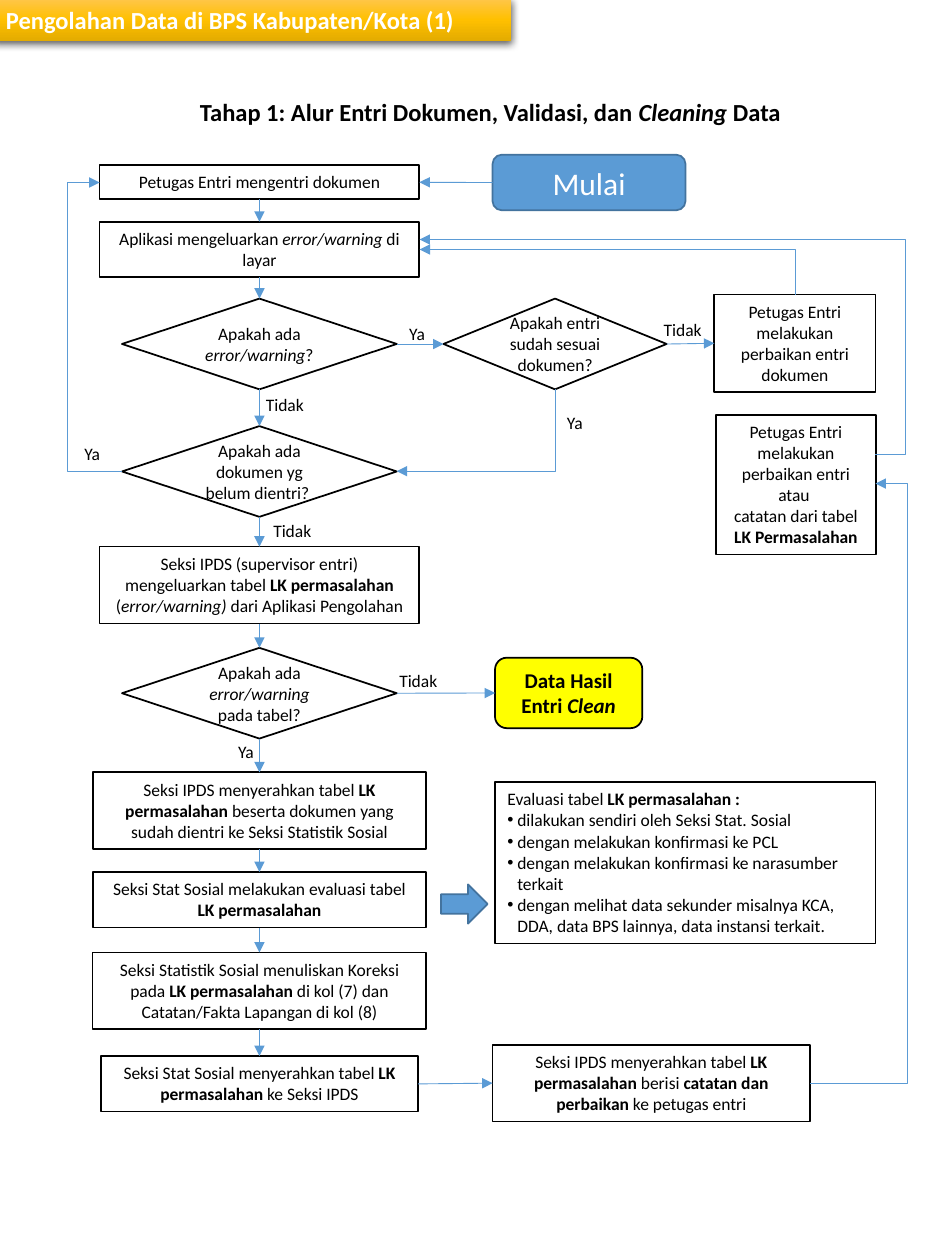
from pptx import Presentation, util as u
from pptx.dml.color import RGBColor
from pptx.enum import shapes, text
from pptx.oxml import parse_xml
from pptx.oxml.ns import nsdecls, qn

BLACK = RGBColor(0x00, 0x00, 0x00)
WHITE = RGBColor(0xFF, 0xFF, 0xFF)
BLUE = RGBColor(0x5B, 0x9B, 0xD5)
DARK_BLUE = RGBColor(0x43, 0x73, 0x9E)
YELLOW = RGBColor(0xFF, 0xFF, 0x00)
AMBER_STOPS = ((0, RGBColor(0xFF, 0xC6, 0x4B)), (50, RGBColor(0xFF, 0xC0, 0x00)),
               (100, RGBColor(0xE3, 0xAB, 0x00)))

KIND = shapes.MSO_SHAPE
TOP, LEFT, BOTTOM, RIGHT = range(4)
AXIS = 5.23  # centre of the main column, in cm


class Flowchart:
    """Holds the style and the slide being drawn."""

    font = "Calibri"
    size = 10

    def __init__(self, page):
        """Start drawing on a page."""
        self.page = page

    def set_text(self, frame, paras, size=None, color=BLACK, align=None, bold=False):
        """Fill a frame; a leading * makes a span bold, _ makes it italic."""
        for index, spans in enumerate(paras):
            para = frame.paragraphs[0] if index == 0 else frame.add_paragraph()
            para.alignment = align or text.PP_ALIGN.LEFT
            for words in spans:
                if words == "\n":
                    para.add_line_break()
                    continue
                span = para.add_run()
                span.text = words.lstrip("*_")
                span.font.name = self.font
                span.font.size = u.Pt(size or self.size)
                span.font.color.rgb = color
                span.font.bold = bold or words.startswith("*")
                span.font.italic = words.startswith("_")

    def shape(self, kind, place, fill=WHITE, line=BLACK):
        """Add a plain preset shape."""
        box = self.page.shapes.add_shape(kind, *map(u.Cm, place))
        box.shadow.inherit = False
        box.fill.solid()
        box.fill.fore_color.rgb = fill
        box.line.color.rgb = line
        box.line.width = u.Pt(1)
        return box

    def box(self, place, *spans, kind=KIND.RECTANGLE, fill=WHITE, line=BLACK,
            middle=False, **style):
        """Add a shape with one centred paragraph."""
        box = self.shape(kind, place, fill, line)
        frame = box.text_frame
        frame.word_wrap = True
        frame.vertical_anchor = text.MSO_ANCHOR.MIDDLE if middle else text.MSO_ANCHOR.TOP
        if not middle:
            frame.auto_size = text.MSO_AUTO_SIZE.SHAPE_TO_FIT_TEXT
        self.set_text(frame, [spans], align=text.PP_ALIGN.CENTER, **style)
        return box

    def decision(self, place, *spans):
        """Add a diamond with narrow insets."""
        box = self.box(place, *spans, kind=KIND.DIAMOND, middle=True)
        frame = box.text_frame
        frame.margin_left = frame.margin_right = u.Cm(0.1)
        frame.margin_top = frame.margin_bottom = u.Cm(0.1)
        return box

    def note(self, place, *paras):
        """Add a box with a heading and bulleted lines."""
        box = self.shape(KIND.RECTANGLE, place)
        frame = box.text_frame
        frame.word_wrap = True
        frame.vertical_anchor = text.MSO_ANCHOR.TOP
        frame.auto_size = text.MSO_AUTO_SIZE.SHAPE_TO_FIT_TEXT
        self.set_text(frame, paras)
        for para in frame.paragraphs[1:]:
            props = para._p.get_or_add_pPr()
            props.set("marL", str(u.Cm(0.2)))
            props.set("indent", str(-u.Cm(0.2)))
            props.append(parse_xml(f'<a:buFont {nsdecls("a")} typeface="Arial"/>'))
            props.append(parse_xml(f'<a:buChar {nsdecls("a")} char="•"/>'))

    def label(self, place, *spans, **style):
        """Add unwrapped text."""
        box = self.page.shapes.add_textbox(*map(u.Cm, place))
        box.text_frame.word_wrap = False
        box.text_frame.auto_size = text.MSO_AUTO_SIZE.SHAPE_TO_FIT_TEXT
        self.set_text(box.text_frame, [spans], **style)

    def banner(self, place, title):
        """Add the gradient heading strip with its shadow."""
        box = self.shape(KIND.RECTANGLE, place)
        box.line.fill.background()
        box.text_frame.word_wrap = True
        box.text_frame.vertical_anchor = text.MSO_ANCHOR.TOP
        self.set_text(box.text_frame, [[title]], size=14, color=WHITE, bold=True)
        stops = "".join(f'<a:gs pos="{at * 1000}"><a:srgbClr val="{color}"/></a:gs>'
                        for at, color in AMBER_STOPS)
        props = box._element.spPr
        props.replace(props.find(qn("a:solidFill")), parse_xml(
            f'<a:gradFill {nsdecls("a")} rotWithShape="1"><a:gsLst>{stops}</a:gsLst>'
            '<a:lin ang="5400000" scaled="0"/></a:gradFill>'))
        props.find(qn("a:effectLst")).append(parse_xml(
            f'<a:outerShdw {nsdecls("a")} blurRad="{u.Pt(4.5)}" dist="{u.Pt(1.5)}" '
            'dir="5400000" algn="ctr" rotWithShape="0"><a:srgbClr val="000000">'
            '<a:alpha val="63000"/></a:srgbClr></a:outerShdw>'))

    def connector(self, kind, start, end, arrow="tailEnd"):
        """Add a thin arrow between two points in cm."""
        line = self.page.shapes.add_connector(kind, *map(u.Cm, (*start, *end)))
        line.line.color.rgb = BLUE
        line.line.width = u.Pt(0.5)
        line.line._get_or_add_ln().append(
            parse_xml(f'<a:{arrow} {nsdecls("a")} type="triangle"/>'))
        line._element.spPr.append(parse_xml(f'<a:effectLst {nsdecls("a")}/>'))
        return line

    def link(self, source, side, target, target_side):
        """Join two shapes with a straight arrow."""
        line = self.connector(shapes.MSO_CONNECTOR.STRAIGHT, (0, 0), (1, 1))
        line.begin_connect(source, side)
        line.end_connect(target, target_side)

    def detour(self, start, end, via):
        """Add an arrow whose upright part stands at x = via."""
        line = self.connector(shapes.MSO_CONNECTOR.ELBOW, start, end)
        ratio = round((via - start[0]) / (end[0] - start[0]) * 100000)
        guides = line._element.spPr.find(qn("a:prstGeom")).get_or_add_avLst()
        guides.append(parse_xml(f'<a:gd {nsdecls("a")} name="adj1" fmla="val {ratio}"/>'))

    def corner(self, tip, start):
        """Add an arrow with one bend, arriving level at its tip."""
        line = self.connector(shapes.MSO_CONNECTOR.ELBOW, tip, start, "headEnd")
        line._element.spPr.find(qn("a:prstGeom")).set("prst", "bentConnector2")


deck = Presentation()
deck.slide_width, deck.slide_height = u.Cm(19.05), u.Cm(25.4)
chart = Flowchart(deck.slides.add_slide(deck.slide_layouts[6]))

chart.banner((-0.13, -0.03, 10.44, 0.86), "Pengolahan Data di BPS Kabupaten/Kota (1)")
chart.label((3.78, 1.83, 12.29, 0.86), "Tahap 1: Alur Entri Dokumen, Validasi, dan ",
            "_Cleaning", " Data", size=14, bold=True)

# Main column: method, top, width, height, spans
STEPS = [
    (chart.box, 3.33, 6.45, 0.69, ["Petugas Entri mengentri dokumen"]),
    (chart.box, 4.47, 6.45, 1.12,
     ["Aplikasi mengeluarkan ", "_error/warning ", "di layar"]),
    (chart.decision, 6.02, 5.54, 1.83, ["Apakah ada ", "_error/warning", "?"]),
    (chart.decision, 8.59, 5.54, 1.83, ["Apakah ada dokumen yg belum dientri? "]),
    (chart.box, 11.02, 6.45, 1.55,
     ["Seksi IPDS (supervisor entri) mengeluarkan tabel ", "*LK permasalahan ", "(",
      "_error/warning) ", "dari Aplikasi Pengolahan"]),
    (chart.decision, 13.06, 5.54, 1.83, ["Apakah ada ", "_error/warning ", "pada tabel?"]),
    (chart.box, 15.57, 6.71, 1.55,
     ["Seksi IPDS menyerahkan tabel ", "*LK permasalahan",
      " beserta dokumen yang sudah dientri ke Seksi Statistik Sosial"]),
    (chart.box, 17.58, 6.71, 1.12,
     ["Seksi Stat Sosial melakukan evaluasi tabel ", "*LK permasalahan"]),
    (chart.box, 19.2, 6.73, 1.55,
     ["Seksi Statistik Sosial menuliskan Koreksi pada ", "*LK permasalahan ",
      "di kol (7) dan Catatan/Fakta Lapangan di kol (8)"]),
    (chart.box, 21.29, 6.4, 1.12,
     ["Seksi Stat Sosial menyerahkan tabel ", "*LK permasalahan", " ke Seksi IPDS"]),
]
column = [draw((AXIS - width / 2, top, width, height), *spans)
          for draw, top, width, height, spans in STEPS]
for upper, lower in zip(column, column[1:]):
    chart.link(upper, BOTTOM, lower, TOP)

start = chart.box((9.93, 3.12, 3.89, 1.12), "Mulai", kind=KIND.ROUNDED_RECTANGLE,
                  fill=BLUE, line=DARK_BLUE, middle=True, size=18, color=WHITE)
matches = chart.decision((8.94, 6.02, 4.5, 1.83), "Apakah entri sudah sesuai dokumen?")
repair = chart.box((14.4, 5.94, 3.25, 1.96),
                   "Petugas Entri melakukan perbaikan entri dokumen")
chart.box((14.43, 8.36, 3.23, 2.82), "Petugas Entri melakukan perbaikan entri atau ",
          "\n", "catatan dari tabel ", "*LK Permasalahan")
clean = chart.box((9.98, 13.26, 2.97, 1.42), "Data Hasil Entri ", "_Clean",
                  kind=KIND.FLOWCHART_ALTERNATE_PROCESS, fill=YELLOW, size=12, bold=True)
chart.note((9.98, 15.77, 7.67, 3.25),
           ["Evaluasi tabel ", "*LK permasalahan :"],
           ["dilakukan sendiri oleh Seksi Stat. Sosial "],
           ["dengan melakukan konfirmasi ke PCL "],
           ["dengan melakukan konfirmasi ke narasumber terkait"],
           ["dengan melihat data sekunder misalnya KCA, DDA, data BPS lainnya, "
            "data instansi terkait."])
chart.shape(KIND.RIGHT_ARROW, (8.89, 17.83, 0.94, 0.79), BLUE, DARK_BLUE)
handover = chart.box((9.93, 21.06, 6.4, 1.55), "Seksi IPDS menyerahkan tabel ",
                     "*LK permasalahan ", "berisi", "* catatan dan perbaikan",
                     " ke petugas entri")

chart.link(start, LEFT, column[0], RIGHT)
for source, target in ((column[2], matches), (matches, repair), (column[5], clean),
                       (column[9], handover)):
    chart.link(source, RIGHT, target, LEFT)
chart.detour((2.46, 9.5), (2.01, 3.68), 1.37)
chart.detour((16.33, 21.84), (17.65, 9.75), 18.29)
chart.detour((17.65, 9.17), (8.46, 4.83), 18.26)
chart.corner((8.46, 5.03), (16.03, 5.94))
chart.corner((8, 9.5), (11.19, 7.85))

ANSWERS = {
    "Ya": (0.86, [(11.18, 8.18), (8, 6.38), (1.45, 8.81), (4.55, 14.81)]),
    "Tidak": (1.3, [(13.13, 6.3), (5.11, 7.82), (5.26, 10.36), (7.8, 13.39)]),
}
for answer, (width, spots) in ANSWERS.items():
    for left, top in spots:
        chart.label((left, top, width, 0.69), answer)

deck.save("out.pptx")
